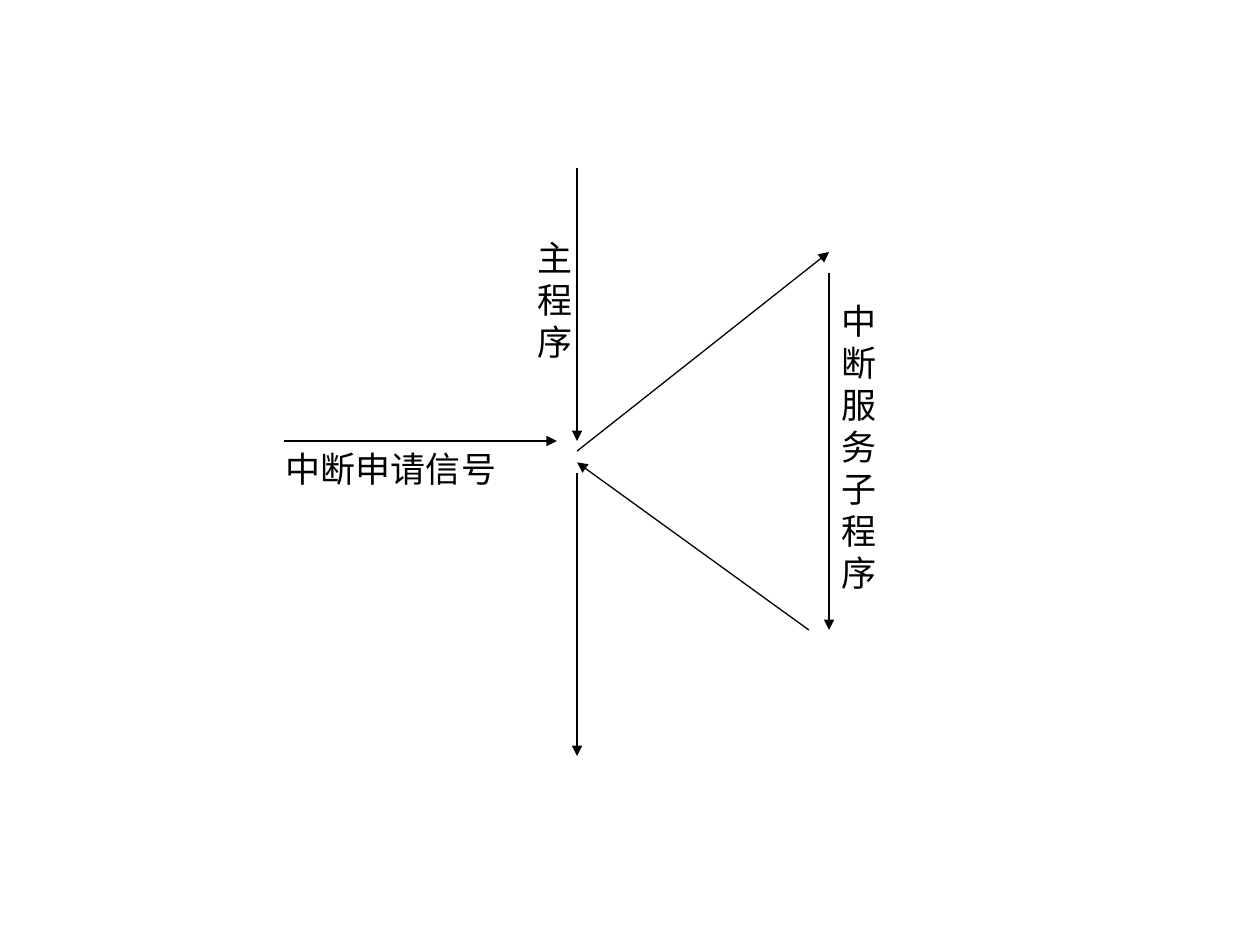
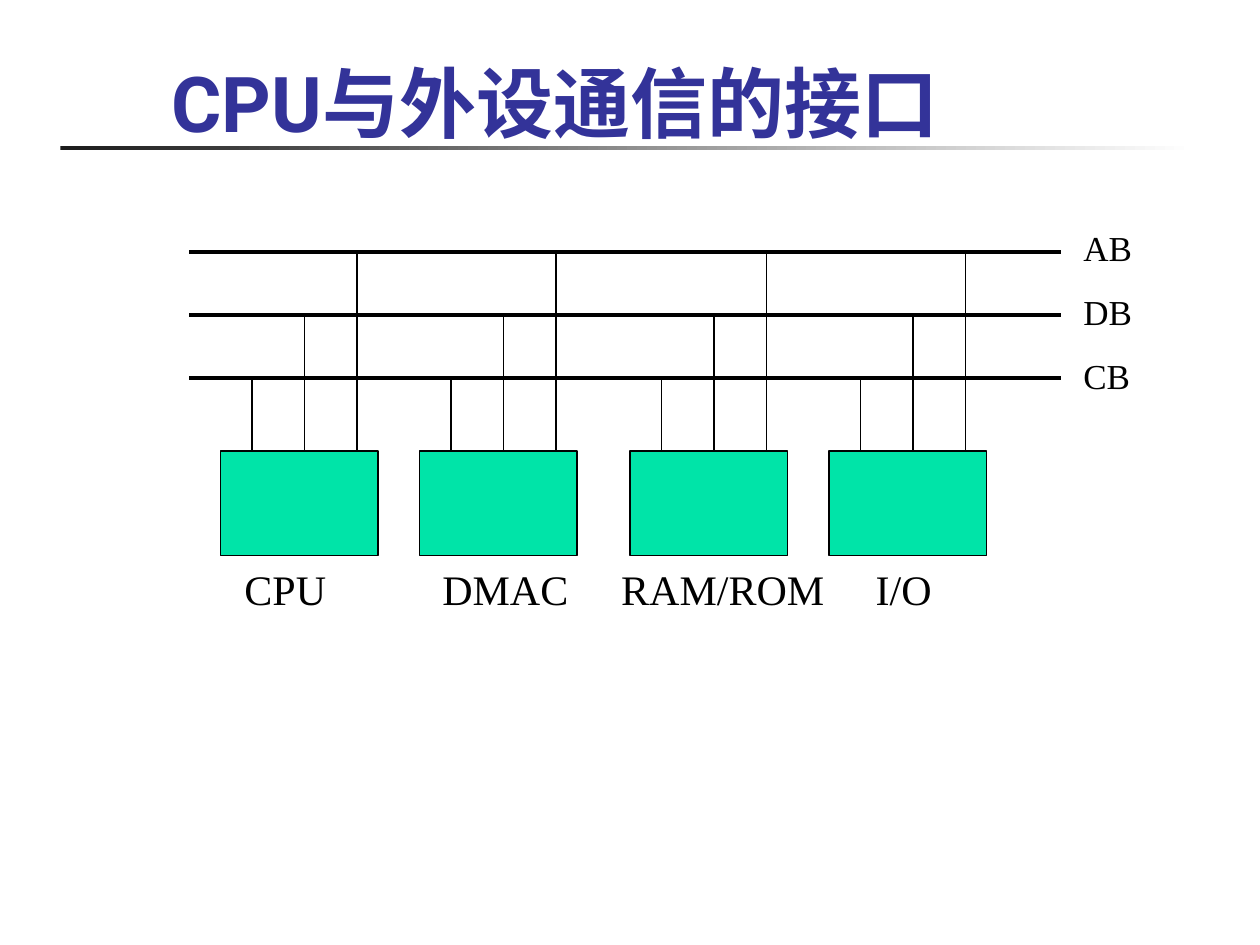
from dataclasses import dataclass

from lxml import etree
from pptx import Presentation
from pptx.dml.color import RGBColor
from pptx.enum.shapes import MSO_CONNECTOR, MSO_SHAPE
from pptx.enum.text import MSO_ANCHOR, MSO_AUTO_SIZE, PP_ALIGN
from pptx.oxml.ns import qn
from pptx.util import Inches, Pt

STRAIGHT = MSO_CONNECTOR.STRAIGHT
RECTANGLE = MSO_SHAPE.RECTANGLE
FIT_SHAPE = MSO_AUTO_SIZE.SHAPE_TO_FIT_TEXT
NO_FIT = MSO_AUTO_SIZE.NONE
BOTTOM = MSO_ANCHOR.BOTTOM
LEFT = PP_ALIGN.LEFT
TITLE_ONLY, BLANK = 5, 6


@dataclass(frozen=True)
class Theme:
    ink: RGBColor = RGBColor(0x00, 0x00, 0x00)
    title: RGBColor = RGBColor(0x33, 0x33, 0x99)
    unit: RGBColor = RGBColor(0x00, 0xE4, 0xA8)
    rule_start: RGBColor = RGBColor(0x1C, 0x1C, 0x1C)
    rule_end: RGBColor = RGBColor(0xFF, 0xFF, 0xFF)
    title_font: str = "Roboto"
    body_font: str = "Times New Roman"
    title_size: float = 44
    unit_size: float = 24
    label_size: float = 20
    leading: float = 1.2
    paragraph_gap: float = 12.5
    thin: float = 0.75
    medium: float = 1.5
    thick: float = 2.25


THEME = Theme()


def add_line(page, start, end, width=THEME.thin, arrow=False):
    line = page.shapes.add_connector(STRAIGHT, *map(Inches, start + end))
    line.line.color.rgb = THEME.ink
    line.line.width = Pt(width)
    if arrow:
        outline = line.line._get_or_add_ln()
        etree.SubElement(outline, qn("a:tailEnd"), type="triangle")
    etree.SubElement(line._element.spPr, qn("a:effectLst"))


def add_rectangle(page, left, top, width, height):
    box = page.shapes.add_shape(
        RECTANGLE, *map(Inches, (left, top, width, height)))
    box.shadow.inherit = False
    return box


def add_tab_stops(para, stops):
    tab_list = etree.SubElement(para._p.get_or_add_pPr(), qn("a:tabLst"))
    for stop in stops:
        etree.SubElement(tab_list, qn("a:tab"), pos=str(Inches(stop)), algn="l")


def add_text(page, lines, left, top, width, height, size=THEME.label_size,
             inset=0.1, tab_stops=()):
    """Add a text box with one paragraph per line."""
    box = page.shapes.add_textbox(*map(Inches, (left, top, width, height)))
    frame = box.text_frame
    frame.word_wrap = True
    frame.auto_size = FIT_SHAPE
    frame.margin_left = Inches(inset)
    for index, line in enumerate(lines):
        para = frame.add_paragraph() if index else frame.paragraphs[0]
        if index:
            para.space_before = Pt(THEME.paragraph_gap)
        para.line_spacing = Pt(size * THEME.leading)
        if tab_stops:
            add_tab_stops(para, tab_stops)
        span = para.add_run()
        span.text = line
        span.font.name = THEME.body_font
        span.font.size = Pt(size)
        span.font.color.rgb = THEME.ink


def set_title(page, text):
    """Fill the title placeholder and draw the fading rule below it."""
    title = page.shapes.title
    title.left, title.top, title.width, title.height = map(
        Inches, (1.26, 0.22, 8.52, 1))
    frame = title.text_frame
    frame.auto_size = NO_FIT
    frame.vertical_anchor = BOTTOM
    para = frame.paragraphs[0]
    para.alignment = LEFT
    span = para.add_run()
    span.text = text
    span.font.name = THEME.title_font
    span.font.size = Pt(THEME.title_size)
    span.font.bold = True
    span.font.color.rgb = THEME.title

    rule = add_rectangle(page, 0.48, 1.16, 9, 0.03)
    rule.line.fill.background()
    rule.fill.gradient()
    rule.fill.gradient_angle = 0
    stops = rule.fill.gradient_stops
    for stop, position, color in zip(
            stops, (0, 1), (THEME.rule_start, THEME.rule_end)):
        stop.position = position
        stop.color.rgb = color


def add_unit(page, left, bus_levels):
    """Add a device and its drop lines, the leftmost going to the lowest bus."""
    top = 3.58
    box = add_rectangle(page, left, top, 1.25, 0.83)
    box.fill.solid()
    box.fill.fore_color.rgb = THEME.unit
    box.line.color.rgb = THEME.ink
    box.line.width = Pt(THEME.thin)
    for index, level in enumerate(reversed(bus_levels)):
        x = left + 0.25 + index * 5 / 12
        add_line(page, (x, top), (x, level))


def build_interrupt_flow(deck):
    page = deck.slides.add_slide(deck.slide_layouts[BLANK])
    main_x, service_x = 4.58, 6.58
    add_line(page, (main_x, 1.33), (main_x, 3.5), THEME.medium, arrow=True)
    for start, end in (
        ((main_x, 3.58), (service_x, 2)),
        ((service_x, 2.17), (service_x, 5)),
        ((6.42, 5), (main_x, 3.67)),
        ((main_x, 3.75), (main_x, 6)),
        ((2.25, 3.5), (4.42, 3.5)),
    ):
        add_line(page, start, end, arrow=True)
    add_text(page, ["主程序"], 4.17, 1.83, 0.67, 1.1)
    add_text(page, ["中断服务子程序"], service_x, 2.33, 0.42, 2.44)
    add_text(page, ["中断申请信号"], 2.17, 3.5, 2, 0.44)


def build_bus_interface(deck):
    page = deck.slides.add_slide(deck.slide_layouts[TITLE_ONLY])
    set_title(page, "CPU与外设通信的接口")
    bus_levels = (2, 2.5, 3)
    for level in bus_levels:
        add_line(page, (1.5, level), (8.42, level), THEME.thick)
    add_text(page, ["AB", "DB", "CB"], 8.5, 1.75, 1.33, 1.45)
    for left in (1.75, 3.33, 5, 6.58):
        add_unit(page, left, bus_levels)
    add_text(page, ["CPU\tDMAC\tRAM/ROM\tI/O"], 1.5, 4.42, 7.58, 0.5,
             size=THEME.unit_size, inset=0.44, tab_stops=(1.57, 2.99, 5.01))


def main():
    deck = Presentation()
    deck.slide_width, deck.slide_height = Inches(10), Inches(7.5)
    build_interrupt_flow(deck)
    build_bus_interface(deck)
    deck.save("out.pptx")


if __name__ == "__main__":
    main()
